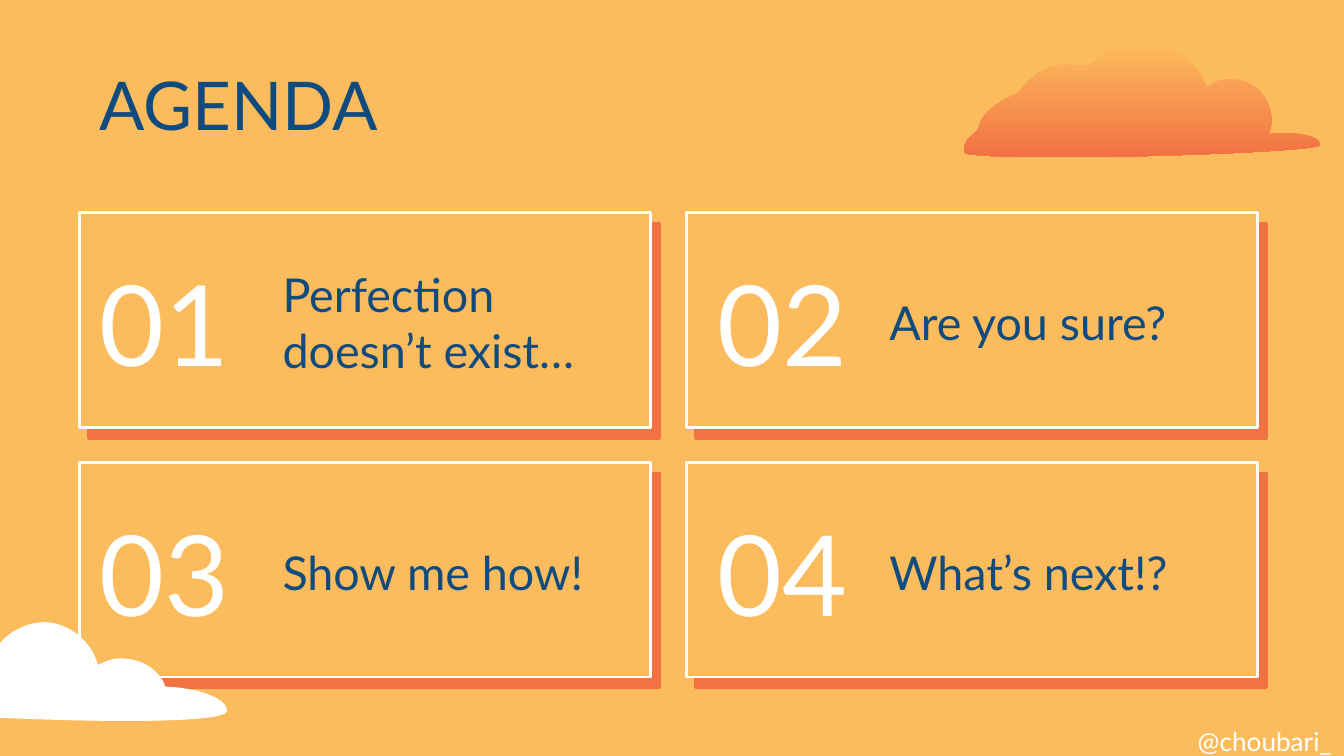
from dataclasses import dataclass

from lxml import etree
from pptx import Presentation
from pptx import util as u
from pptx.dml.color import RGBColor
from pptx.enum import shapes, text
from pptx.oxml import ns

Cm, Pt = u.Cm, u.Pt


@dataclass(frozen=True)
class Theme:
    font: str = "Lato"
    amber: RGBColor = RGBColor(0xFC, 0xBC, 0x5D)
    coral: RGBColor = RGBColor(0xF2, 0x72, 0x43)
    navy: RGBColor = RGBColor(0x0F, 0x4B, 0x7E)
    white: RGBColor = RGBColor(0xFF, 0xFF, 0xFF)
    title: int = 36
    label: int = 25
    number: int = 60
    handle: int = 14


T = Theme()

# Agenda grid, in cm
CARD_X, CARD_Y = 1.5, 4.02
CARD_W, CARD_H = 10.8, 4.06
PITCH_X, PITCH_Y = 11.47, 4.72
NUMBER_INSET = (0.13, 0.35)  # per column
AGENDA = ["Perfection doesn’t exist…", "Are you sure?", "Show me how!", "What’s next!?"]

# Clouds: start point, then Bézier segments (two controls and an end)
CLOUD_UNIT = Cm(0.0254)
SUNSET_CLOUD = (850, 32), [
    (838, 32, 827, 36, 817, 44), (813, 47, 808, 49, 804, 49),
    (803, 49, 802, 49, 801, 49), (799, 48, 796, 48, 794, 48),
    (781, 48, 769, 55, 761, 65), (759, 68, 757, 70, 754, 71),
    (746, 74, 731, 83, 729, 93), (728, 96, 727, 98, 724, 100),
    (720, 103, 717, 107, 717, 113), (717, 116, 748, 117, 788, 117),
    (866, 117, 982, 112, 982, 108), (982, 101, 967, 99, 949, 99),
    (947, 99, 946, 99, 944, 100), (949, 87, 944, 73, 934, 65),
    (928, 61, 922, 59, 916, 59), (909, 59, 903, 61, 898, 65),
    (890, 44, 870, 32, 850, 32),
]
WHITE_CLOUD = (-47, 517), [
    (-47, 502, -33, 490, -16, 490), (-13, 490, -10, 491, -7, 491),
    (-1, 474, 16, 463, 34, 463), (52, 464, 68, 477, 73, 495),
    (78, 492, 84, 490, 90, 490), (106, 490, 119, 499, 123, 511),
    (149, 512, 169, 520, 169, 529), (169, 544, -75, 533, -75, 527),
    (-75, 522, -63, 518, -47, 517),
]


def curve_outline(sp):
    """Turn each three line segments of a freeform into one cubic curve."""
    lines = list(sp._element.iter(ns.qn("a:lnTo")))
    for i in range(0, len(lines), 3):
        curve = etree.Element(ns.qn("a:cubicBezTo"))
        lines[i].addprevious(curve)
        for line in lines[i:i + 3]:
            curve.append(line[0])
            line.getparent().remove(line)


def add_cloud(s, outline):
    start, segments = outline
    points = [seg[i:i + 2] for seg in segments for i in (0, 2, 4)]
    fb = s.shapes.build_freeform(*start, scale=CLOUD_UNIT)
    fb.add_line_segments(points, close=True)
    sp = fb.convert_to_shape()
    curve_outline(sp)
    sp.shadow.inherit = False
    sp.line.fill.background()
    return sp


def fill_sunset(sp):
    sp.fill.gradient()
    sp.fill.gradient_angle = 270
    for stop, position, color in zip(sp.fill.gradient_stops, (0, 1), (T.amber, T.coral)):
        stop.position = position
        stop.color.rgb = color


def add_hard_shadow(sp, color):
    sp.shadow.inherit = False
    effects = sp._element.spPr.find(ns.qn("a:effectLst"))
    shadow = etree.SubElement(effects, ns.qn("a:outerShdw"), blurRad="0", dist=str(Pt(7.5)),
                              dir=str(50 * 60000), algn="bl", rotWithShape="0")
    etree.SubElement(shadow, ns.qn("a:srgbClr"), val=str(color))


def add_card(s, x, y):
    sp = s.shapes.add_shape(shapes.MSO_SHAPE.RECTANGLE, Cm(x), Cm(y), Cm(CARD_W), Cm(CARD_H))
    sp.fill.solid()
    sp.fill.fore_color.rgb = T.amber
    sp.line.color.rgb = T.white
    sp.line.width = Pt(1.5)
    add_hard_shadow(sp, T.coral)


def set_text(sp, words, size, color, align=text.PP_ALIGN.LEFT, anchor=text.MSO_ANCHOR.MIDDLE):
    tf = sp.text_frame
    tf.text = words
    tf.word_wrap = True
    tf.auto_size = text.MSO_AUTO_SIZE.NONE
    tf.vertical_anchor = anchor
    tf.margin_left = tf.margin_right = tf.margin_top = tf.margin_bottom = Cm(0.25)
    p = tf.paragraphs[0]
    p.alignment = align
    r = p.runs[0]
    r.font.name = T.font
    r.font.size = Pt(size)
    r.font.color.rgb = color


def add_label(s, x, y, w, h, *args, **kwargs):
    set_text(s.shapes.add_textbox(Cm(x), Cm(y), Cm(w), Cm(h)), *args, **kwargs)


def main():
    prs = Presentation()
    prs.slide_width, prs.slide_height = Cm(25.4), Cm(14.29)
    s = prs.slides.add_slide(prs.slide_layouts[5])
    s.background.fill.solid()
    s.background.fill.fore_color.rgb = T.amber

    # Title
    title = s.shapes.title
    title.left, title.top, title.width, title.height = Cm(1.63), Cm(0.93), Cm(21.41), Cm(2.06)
    set_text(title, "AGENDA", T.title, T.navy)

    # Sunset cloud
    fill_sunset(add_cloud(s, SUNSET_CLOUD))

    # Agenda cards
    for i, topic in enumerate(AGENDA):
        row, col = divmod(i, 2)
        x, y = CARD_X + col * PITCH_X, CARD_Y + row * PITCH_Y
        add_card(s, x, y)
        add_label(s, x + 3.59, y + 0.51, 7.24, 3.12, topic, T.label, T.navy)
        add_label(s, x + NUMBER_INSET[col], y + 0.15, 3.18, 3.84,
                  f"{i + 1:02}", T.number, T.white)

    # White cloud over the last row
    cloud = add_cloud(s, WHITE_CLOUD)
    cloud.fill.solid()
    cloud.fill.fore_color.rgb = T.white

    # Speaker handle
    add_label(s, 18.62, 13.46, 6.8, 1.12, "@choubari_", T.handle, T.white,
              align=text.PP_ALIGN.RIGHT, anchor=text.MSO_ANCHOR.TOP)

    prs.save("out.pptx")


if __name__ == "__main__":
    main()
